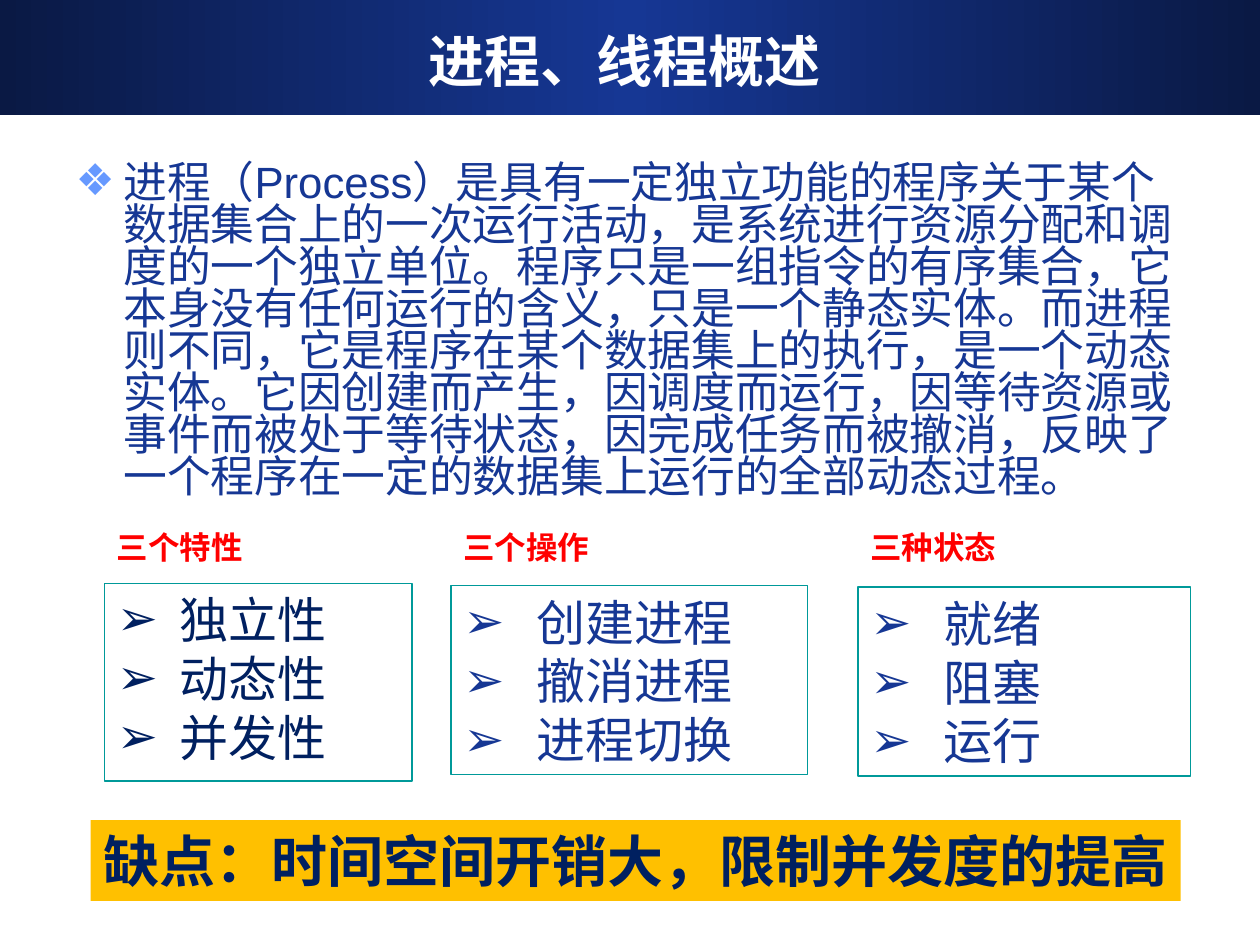
import copy
from dataclasses import dataclass

import pptx
import pptx.dml.color
import pptx.enum.dml
import pptx.enum.shapes
import pptx.enum.text
import pptx.oxml
import pptx.oxml.ns
import pptx.util
from pptx.util import Inches

RGBColor = pptx.dml.color.RGBColor
WHITE = RGBColor(0xFF, 0xFF, 0xFF)
BLUE = RGBColor(0x16, 0x37, 0x94)
DARK_BLUE = RGBColor(0x0A, 0x19, 0x44)
NAVY = RGBColor(0x00, 0x20, 0x60)
LIGHT_BLUE = RGBColor(0x66, 0x99, 0xFF)
TEAL = RGBColor(0x00, 0x99, 0x99)
RED = RGBColor(0xFF, 0x00, 0x00)
AMBER = RGBColor(0xFF, 0xC0, 0x00)

CJK_FONT = "Noto Sans CJK SC"
DEFINITION = (
    "进程（Process）是具有一定独立功能的程序关于某个数据集合上的一次运行活动，"
    "是系统进行资源分配和调度的一个独立单位。程序只是一组指令的有序集合，"
    "它本身没有任何运行的含义，只是一个静态实体。而进程则不同，"
    "它是程序在某个数据集上的执行，是一个动态实体。它因创建而产生，"
    "因调度而运行，因等待资源或事件而被处于等待状态，因完成任务而被撤消，"
    "反映了一个程序在一定的数据集上运行的全部动态过程。"
)


@dataclass
class Style:
    size: float
    font: str
    color: RGBColor
    bold: bool = False


@dataclass
class Group:
    heading: str
    items: list[str]
    left: float
    top: float
    width: float
    height: float
    color: RGBColor
    indent: float


GROUPS = [
    Group("三个特性", ["独立性", "动态性", "并发性"], 0.83, 4.63, 2.44, 1.57, NAVY, 0.5),
    Group("三个操作", ["创建进程", "撤消进程", "进程切换"], 3.58, 4.65, 2.83, 1.5, BLUE, 0.58),
    Group("三种状态", ["就绪", "阻塞", "运行"], 6.81, 4.66, 2.64, 1.5, BLUE, 0.58),
]
HEADING_STYLE = Style(18, "Arial", RED, True)


def place(shape, left: float, top: float, width: float, height: float) -> None:
    shape.left, shape.top = Inches(left), Inches(top)
    shape.width, shape.height = Inches(width), Inches(height)


def add_span(para, text: str, style: Style) -> None:
    span = para.add_run()
    span.text = text
    span.font.size = pptx.util.Pt(style.size)
    span.font.name = style.font
    span.font.bold = style.bold
    span.font.color.rgb = style.color


def set_bullet(para, char: str, color: RGBColor, indent: float) -> None:
    properties = para._p.get_or_add_pPr()
    properties.set("marL", str(Inches(indent)))
    properties.set("indent", str(-Inches(indent)))
    namespace = pptx.oxml.ns.nsdecls("a")
    for markup in (
        f'<a:buClr {namespace}><a:srgbClr val="{color}"/></a:buClr>',
        f'<a:buFont {namespace} typeface="DejaVu Sans"/>',
        f'<a:buChar {namespace} char="{char}"/>',
    ):
        properties.append(pptx.oxml.parse_xml(markup))


def prepare_frame(frame, anchor, wrap: bool = True) -> None:
    frame.auto_size = pptx.enum.text.MSO_AUTO_SIZE.NONE
    frame.vertical_anchor = anchor
    frame.word_wrap = wrap


def add_rectangle(page, left: float, top: float, width: float, height: float):
    box = page.shapes.add_shape(
        pptx.enum.shapes.MSO_SHAPE.RECTANGLE,
        Inches(left), Inches(top), Inches(width), Inches(height),
    )
    box.shadow.inherit = False
    return box


def add_banner(page) -> None:
    banner = add_rectangle(page, 0, 0, 10, 0.91)
    banner.line.fill.background()
    banner.fill.gradient()
    banner.fill.gradient_angle = 0
    first = banner.fill.gradient_stops[0]
    first_element = first._gs
    first_element.addnext(copy.deepcopy(first_element))
    for stop, position, color in zip(
        banner.fill.gradient_stops, (0, 0.5, 1), (DARK_BLUE, BLUE, DARK_BLUE)
    ):
        stop.position = position
        stop.color.rgb = color
    page.shapes.title.element.addprevious(banner.element)


def fill_title(page) -> None:
    title = page.shapes.title
    place(title, 0.33, 0.17, 9.25, 0.62)
    prepare_frame(title.text_frame, pptx.enum.text.MSO_ANCHOR.MIDDLE)
    para = title.text_frame.paragraphs[0]
    para.alignment = pptx.enum.text.PP_ALIGN.CENTER
    add_span(para, "进程、线程概述", Style(32, "DejaVu Sans", WHITE, True))


def fill_body(page) -> None:
    body = page.placeholders[1]
    place(body, 0.5, 1.26, 9, 3.12)
    prepare_frame(body.text_frame, pptx.enum.text.MSO_ANCHOR.TOP)
    para = body.text_frame.paragraphs[0]
    set_bullet(para, "❖", LIGHT_BLUE, 0.38)
    para.line_spacing = 0.8
    para.space_before = pptx.util.Pt(0)
    add_span(para, DEFINITION, Style(25, "Arial", BLUE))


def add_group(page, group: Group) -> None:
    heading = page.shapes.add_textbox(
        Inches(group.left), Inches(4.14), Inches(1.22), Inches(0.4)
    )
    prepare_frame(heading.text_frame, pptx.enum.text.MSO_ANCHOR.TOP)
    add_span(heading.text_frame.paragraphs[0], group.heading, HEADING_STYLE)

    box = add_rectangle(page, group.left, group.top, group.width, group.height)
    box.fill.background()
    box.line.color.rgb = TEAL
    box.line.width = pptx.util.Pt(0.75)
    frame = box.text_frame
    prepare_frame(frame, pptx.enum.text.MSO_ANCHOR.TOP)
    for index, item in enumerate(group.items):
        para = frame.add_paragraph() if index else frame.paragraphs[0]
        set_bullet(para, "➢", group.color, group.indent)
        para.alignment = pptx.enum.text.PP_ALIGN.LEFT
        add_span(para, item, Style(28, CJK_FONT, group.color))


def add_drawback(page) -> None:
    box = add_rectangle(page, 0.72, 6.51, 8.65, 0.64)
    box.fill.solid()
    box.fill.fore_color.rgb = AMBER
    box.line.fill.background()
    prepare_frame(box.text_frame, pptx.enum.text.MSO_ANCHOR.TOP, wrap=False)
    para = box.text_frame.paragraphs[0]
    para.alignment = pptx.enum.text.PP_ALIGN.LEFT
    add_span(para, "缺点：时间空间开销大，限制并发度的提高", Style(32, CJK_FONT, NAVY, True))


def main() -> None:
    deck = pptx.Presentation()
    deck.slide_width, deck.slide_height = Inches(10), Inches(7.5)
    page = deck.slides.add_slide(deck.slide_layouts[1])
    add_banner(page)
    fill_title(page)
    fill_body(page)
    for group in GROUPS:
        add_group(page, group)
    add_drawback(page)
    deck.save("out.pptx")


if __name__ == "__main__":
    main()
